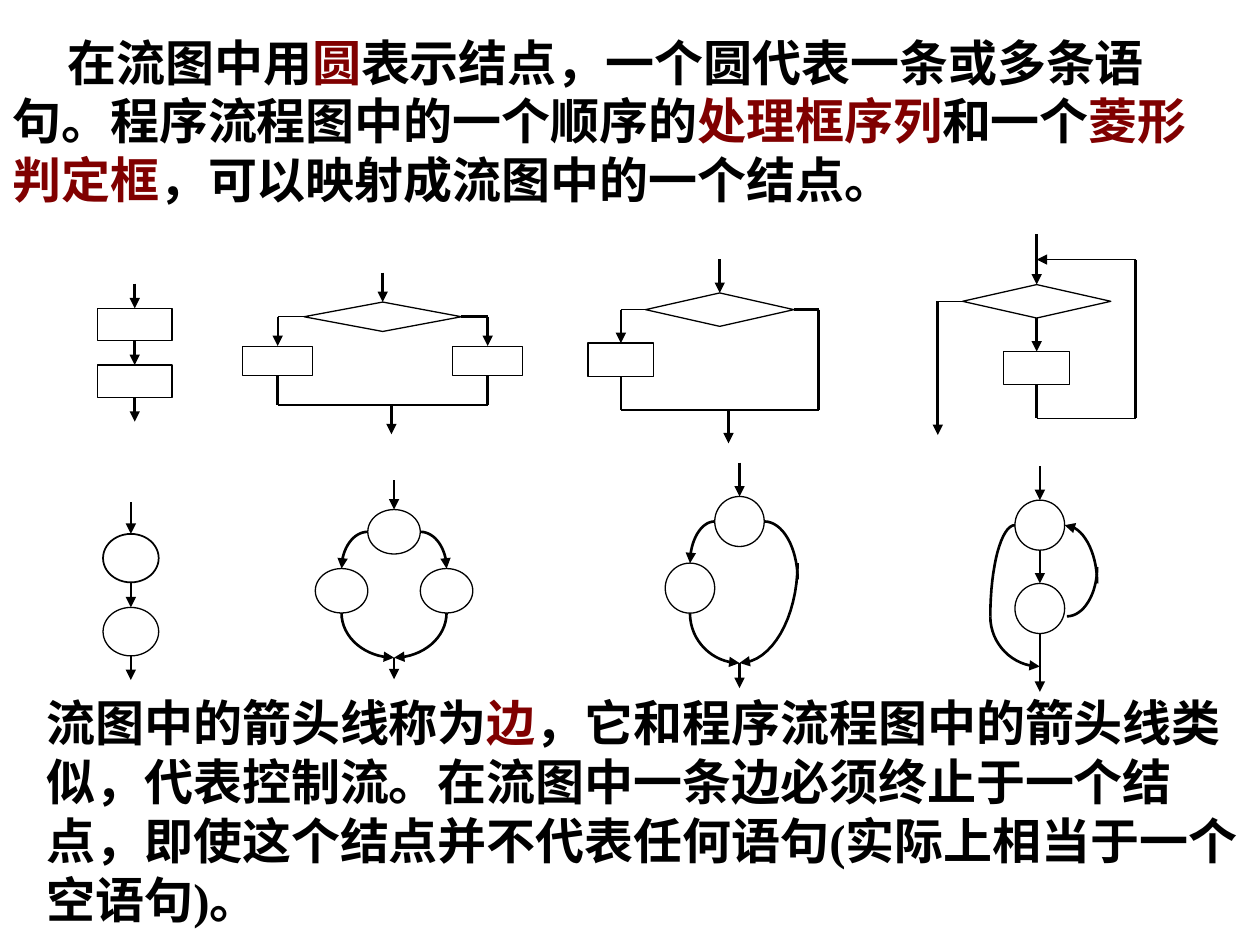
import collections

import lxml.etree
import pptx
import pptx.dml.color
import pptx.enum.lang
import pptx.enum.shapes
import pptx.enum.text
import pptx.oxml.ns
import pptx.util

Pt = pptx.util.Pt
SHAPE = pptx.enum.shapes.MSO_SHAPE
TOP, LEFT, BOTTOM, RIGHT = range(4)
BLACK, DARK_RED, WHITE = "000000", "800000", "FFFFFF"
TEXT_FORMAT = {
    "size": Pt(28),
    "bold": True,
    "name": "Times New Roman",
    "language_id": pptx.enum.lang.MSO_LANGUAGE_ID.SIMPLIFIED_CHINESE,
}
Site = collections.namedtuple("Site", "box side")


def color(hex_value):
    return pptx.dml.color.RGBColor.from_string(hex_value)


def add_child(parent, tag, **attributes):
    lxml.etree.SubElement(parent, pptx.oxml.ns.qn(tag), attributes)


def style_line(shape, width, arrow=None):
    """Draw a black line; arrow is None, "headEnd" (start) or "tailEnd" (finish)."""
    shape.line.color.rgb = color(BLACK)
    shape.line.width = Pt(width)
    if arrow:
        add_child(shape.line._get_or_add_ln(), f"a:{arrow}", type="triangle")


def node(group, kind, cx, top, width, height, weight=0.75):
    shape = group.add_shape(kind, Pt(cx - width / 2), Pt(top), Pt(width), Pt(height))
    shape.shadow.inherit = False
    if kind == SHAPE.RECTANGLE:
        shape.fill.solid()
        shape.fill.fore_color.rgb = color(WHITE)
    else:
        shape.fill.background()
    style_line(shape, weight)
    return shape


def position(end):
    """Return the page position, in EMU, of a point or of a Site on a box."""
    if not isinstance(end, Site):
        return Pt(end[0]), Pt(end[1])
    box = end.box
    dx, dy = {TOP: (1, 0), LEFT: (0, 1), BOTTOM: (1, 2), RIGHT: (2, 1)}[end.side]
    return box.left + box.width * dx // 2, box.top + box.height * dy // 2


def line(group, start, finish, width=1.5, arrow=None):
    connector = group.add_connector(
        pptx.enum.shapes.MSO_CONNECTOR.STRAIGHT, *position(start), *position(finish))
    style_line(connector, width, arrow)
    add_child(connector._element.spPr, "a:effectLst")
    for end, join in ((start, connector.begin_connect), (finish, connector.end_connect)):
        if isinstance(end, Site):
            join(end.box, end.side)


def arrow_line(group, start, finish, width=1.5):
    line(group, start, finish, width, "tailEnd")


def quarter_arc(group, level, upright, arrow=None, steps=16):
    """Curve that leaves level horizontally and reaches upright vertically."""
    (ax, ay), (bx, by) = level, upright
    xs = (ax, ax + 0.55 * (bx - ax), bx, bx)
    ys = (ay, ay, by - 0.55 * (by - ay), by)
    points = []
    for step in range(steps + 1):
        t = step / steps
        weights = ((1 - t) ** 3, 3 * t * (1 - t) ** 2, 3 * t * t * (1 - t), t ** 3)
        points.append(tuple(Pt(sum(w * v for w, v in zip(weights, values)))
                            for values in (xs, ys)))
    builder = group.build_freeform(*points[0])
    builder.add_line_segments(points[1:], close=False)
    arc = builder.convert_to_shape()
    arc.shadow.inherit = False
    arc.fill.background()
    style_line(arc, 1.5, arrow)


def sequence_chart(group, cx, top):
    first, second = (node(group, SHAPE.RECTANGLE, cx, y, 42.5, 18.4)
                     for y in (top + 14.2, top + 46.6))
    arrow_line(group, (cx, top), Site(first, TOP))
    arrow_line(group, Site(first, BOTTOM), Site(second, TOP))
    arrow_line(group, Site(second, BOTTOM), (cx, top + 79))


def branch_chart(group, cx, top, unit, span, has_else):
    left, right = cx - span, cx + span
    middle, box_top, merge = (top + unit * n for n in (1.5, 2.5, 4.5))
    decision = node(group, SHAPE.FLOWCHART_DECISION, cx, top + unit, span * 1.5, unit)
    then_box = node(group, SHAPE.RECTANGLE, left, box_top, span * 2 / 3, unit)
    arrow_line(group, (cx, top), Site(decision, TOP))
    line(group, (left, middle), Site(decision, LEFT), 0.75)
    arrow_line(group, (left, middle), Site(then_box, TOP), 1)
    line(group, Site(then_box, BOTTOM), (left, merge))
    line(group, Site(decision, RIGHT), (right, middle))
    if has_else:
        else_box = node(group, SHAPE.RECTANGLE, right, box_top, span * 2 / 3, unit)
        arrow_line(group, (right, middle), Site(else_box, TOP))
        line(group, Site(else_box, BOTTOM), (right, merge))
    else:
        line(group, (right, middle), (right, merge))
    line(group, (left, merge), (right, merge))
    arrow_line(group, (cx + 5, merge), (cx + 5, merge + unit))


def loop_chart(group, cx, top, unit, span):
    left, right = cx - span, cx + span
    back, middle, turn = (top + unit * n for n in (0.75, 2, 5.5))
    decision = node(group, SHAPE.FLOWCHART_DECISION, cx, top + unit * 1.5, span * 1.5, unit)
    body = node(group, SHAPE.RECTANGLE, cx, top + unit * 3.5, span * 2 / 3, unit)
    arrow_line(group, (cx, top), Site(decision, TOP))
    line(group, (left, middle), Site(decision, LEFT), 0.75)
    arrow_line(group, (left, middle), (left, top + unit * 6))
    arrow_line(group, Site(decision, BOTTOM), Site(body, TOP))
    line(group, Site(body, BOTTOM), (cx, turn))
    line(group, (cx, turn), (right, turn), 0.75)
    line(group, (right, back), (right, turn))
    line(group, (cx, back), (right, back), 0.75, "headEnd")


def sequence_graph(group, cx, top):
    first = node(group, SHAPE.OVAL, cx, top + 18.1, 31.8, 27.7, 1)
    second = node(group, SHAPE.OVAL, cx, top + 60.1, 31.8, 27.7)
    arrow_line(group, (cx, top), Site(first, TOP))
    arrow_line(group, (cx, top + 45.8), Site(second, TOP))
    arrow_line(group, (cx, top + 87.8), (cx, top + 101.6))


def branch_graph(group, cx, top, width, height, entry, drop, merge, leave, has_else):
    """Start node with one or two branch nodes; the y values count from top."""
    middle, branch_top, merge = top + entry + height / 2, top + drop, top + merge
    start = node(group, SHAPE.OVAL, cx, top + entry, width, height)
    arrow_line(group, (cx, top), Site(start, TOP))
    for side in (-1, 1) if has_else else (-1,):
        x = cx + side * width
        node(group, SHAPE.OVAL, x, branch_top, width, height)
        quarter_arc(group, (cx + side * width / 2, middle), (x, branch_top), "tailEnd")
        quarter_arc(group, (cx, merge), (x, branch_top + height), "headEnd")
    if not has_else:
        bypass = cx + 33.2
        quarter_arc(group, (cx + width / 2, middle), (bypass, middle + 33.1))
        quarter_arc(group, (cx, merge), (bypass, branch_top), "headEnd")
    arrow_line(group, (cx, merge), (cx, top + leave))


def loop_graph(group, cx, top):
    first, second = (node(group, SHAPE.OVAL, cx, y, 28.4, 28.6)
                     for y in (top + 19.4, top + 67))
    middle, left, right = top + 33.7, cx - 28.3, cx + 32.8
    arrow_line(group, (cx, top), Site(first, TOP))
    arrow_line(group, (cx, top + 48), Site(second, TOP))
    arrow_line(group, (cx, top + 95.6), (cx, top + 129))
    quarter_arc(group, (cx - 14.2, middle), (left, top + 85.8))
    quarter_arc(group, (cx, top + 114.5), (left, top + 85.8), "headEnd")
    quarter_arc(group, (cx + 14.2, middle), (right, top + 67), "headEnd")
    quarter_arc(group, (cx + 15.5, top + 85.8), (right, top + 57.6))


def paragraph(slide, left, top, width, height, pieces, indent=0):
    """Add a text box whose pieces alternate between black and dark red."""
    frame = slide.shapes.add_textbox(Pt(left), Pt(top), Pt(width), Pt(height)).text_frame
    frame.word_wrap = True
    frame.auto_size = pptx.enum.text.MSO_AUTO_SIZE.SHAPE_TO_FIT_TEXT
    properties = frame.paragraphs[0]._p.get_or_add_pPr()
    for name, value in {"indent": str(Pt(indent)), "hangingPunct": "0"}.items():
        properties.set(name, value)
    for number, piece in enumerate(pieces):
        run = frame.paragraphs[0].add_run()
        run.text = piece
        for name, value in TEXT_FORMAT.items():
            setattr(run.font, name, value)
        run.font.color.rgb = color(DARK_RED if number % 2 else BLACK)


def main():
    deck = pptx.Presentation()
    deck.slide_width, deck.slide_height = Pt(720), Pt(540)
    slide = deck.slides.add_slide(deck.slide_layouts[6])
    diagrams = (
        (sequence_chart, (77, 162)),
        (branch_chart, (218.7, 155.8, 16.8, 60, True)),
        (branch_chart, (411.3, 148.3, 19.1, 56.5, False)),
        (loop_chart, (592.4, 134, 19.1, 56.5)),
        (sequence_graph, (74.8, 287)),
        (branch_graph, (225.2, 274.4, 30, 25.4, 16.8, 50.5, 101.4, 113.8, True)),
        (branch_graph, (422.6, 264.4, 28.3, 28.6, 19.3, 57.4, 114.5, 128.8, False)),
        (loop_graph, (594.2, 266.4)),
    )
    for draw, measures in diagrams:
        draw(slide.shapes.add_group_shape().shapes, *measures)
    paragraph(slide, 0, 14.8, 695, 108, (
        "在流图中用", "圆", "表示结点，一个圆代表一条或多条语句。程序流程图中的一个顺序的",
        "处理框序列", "和一个", "菱形判定框", "，可以映射成流图中的一个结点。"), indent=31.5)
    paragraph(slide, 19.5, 392.2, 700.5, 142, (
        "流图中的箭头线称为", "边",
        "，它和程序流程图中的箭头线类似，代表控制流。在流图中一条边必须终止于一个结点，"
        "即使这个结点并不代表任何语句(实际上相当于一个空语句)。"))
    deck.save("out.pptx")


if __name__ == "__main__":
    main()
